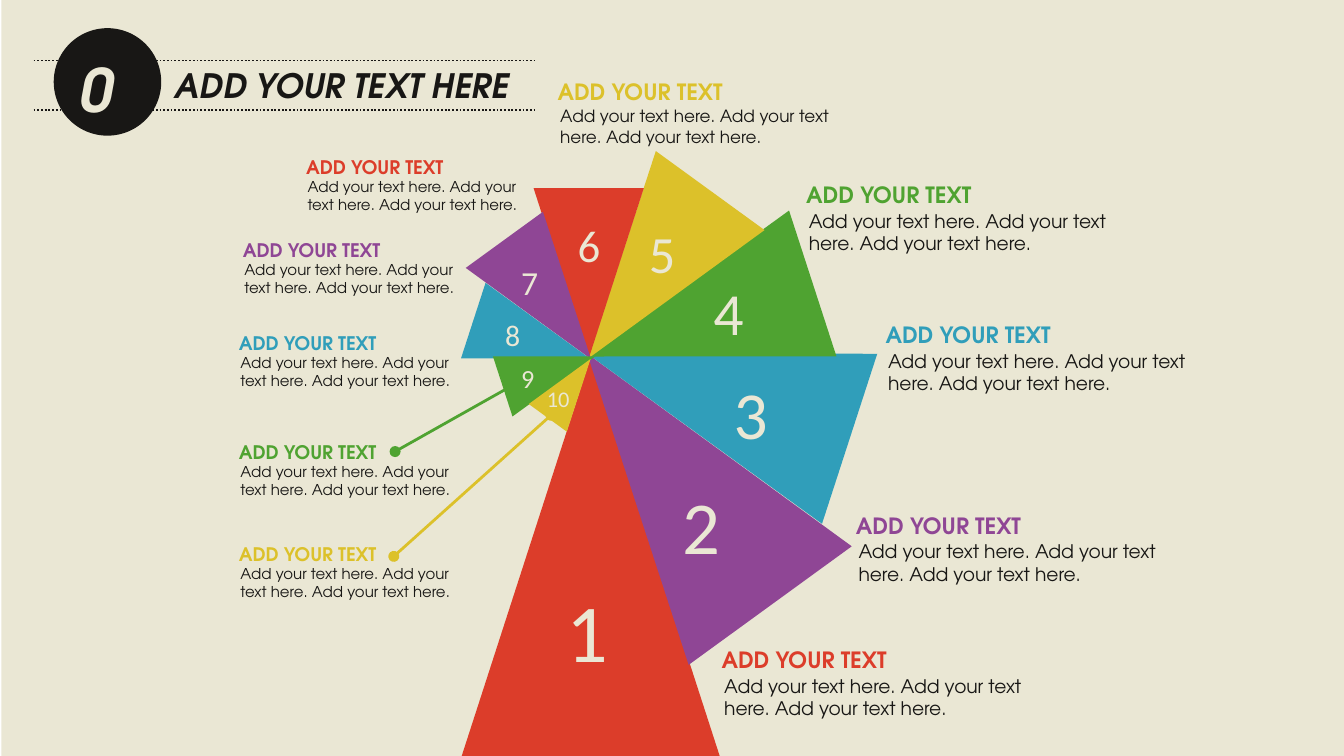
from dataclasses import dataclass

from lxml.etree import SubElement
from pptx import Presentation
from pptx.dml.color import RGBColor
from pptx.enum.dml import MSO_LINE
from pptx.enum.shapes import MSO_CONNECTOR, MSO_SHAPE
from pptx.enum.text import MSO_ANCHOR, MSO_AUTO_SIZE, PP_ALIGN
from pptx.oxml.ns import qn
from pptx.util import Inches, Pt


@dataclass(frozen=True)
class Theme:
    cream: str = "EAE7D4"
    ink: str = "181715"
    red: str = "DC3D2A"
    purple: str = "8F4695"
    blue: str = "309EBA"
    green: str = "4FA331"
    yellow: str = "DCC12A"
    font: str = "TeX Gyre Adventor"
    digit_font: str = "Calibri"
    title_size: int = 18
    badge_size: int = 32


T = Theme()
COLORS = (T.red, T.purple, T.blue, T.green, T.yellow)
HEADING = "ADD YOUR TEXT"
BODY = "Add your text here. Add your text here. Add your text here."
STEP = 36  # degrees between neighbouring blades
ASPECT = 1.545  # blade height to width
# Shift from heading to body text, by heading size
BODY_SHIFT = {12: (0.02, 0.21), 10: (0.01, 0.16)}

# blade (left, top, width), digit (left, top, size),
# label (left, top, heading size, body size)
BLADES = [
    ((3.42, 2.66, 1.95), (4.12, 4.27, 44), (5.27, 4.76, 12, 10)),
    ((4.30, 2.41, 1.50), (4.98, 3.52, 40), (6.27, 3.76, 12, 10)),
    ((4.68, 1.92, 1.33), (5.36, 2.72, 36), (6.49, 2.34, 12, 10)),
    ((4.64, 1.50, 1.14), (5.21, 2.00, 32), (5.90, 1.30, 12, 10)),
    ((4.33, 1.27, 1.00), (4.73, 1.60, 28), (4.05, 0.53, 12, 9)),
    ((3.97, 1.40, 0.82), (4.20, 1.57, 24), (2.18, 1.11, 10, 8)),
    ((3.72, 1.68, 0.71), (3.78, 1.90, 18), (1.71, 1.73, 10, 8)),
    ((3.66, 2.07, 0.59), (3.66, 2.31, 16), (1.68, 2.42, 10, 8)),
    ((3.85, 2.40, 0.47), (3.78, 2.65, 14), (1.68, 3.23, 10, 8)),
    ((4.06, 2.62, 0.35), (3.97, 2.82, 12), (1.68, 3.99, 10, 8)),
]


def rgb(color):
    return RGBColor.from_string(color)


def box_height(size, lines=1):
    return 0.1 + lines * size * 1.2 / 72


def add_solid(slide, kind, left, top, width, height, color):
    sp = slide.shapes.add_shape(kind, Inches(left), Inches(top),
                                Inches(width), Inches(height))
    sp.shadow.inherit = False
    sp.fill.solid()
    sp.fill.fore_color.rgb = rgb(color)
    sp.line.fill.background()
    return sp


def add_run(p, text, size, color, font, bold=False, italic=False):
    r = p.add_run()
    r.text = text
    r.font.size = Pt(size)
    r.font.name = font
    r.font.bold = bold
    r.font.italic = italic
    r.font.color.rgb = rgb(color)


def add_text(slide, left, top, width, text, size, color, font=T.font,
             lines=1, bold=False, italic=False):
    sp = slide.shapes.add_textbox(Inches(left), Inches(top), Inches(width),
                                  Inches(box_height(size, lines)))
    tf = sp.text_frame
    tf.word_wrap = lines > 1
    tf.auto_size = MSO_AUTO_SIZE.SHAPE_TO_FIT_TEXT
    add_run(tf.paragraphs[0], text, size, color, font, bold, italic)


def add_line(slide, start, end, color, width, dash=None, ends=()):
    line = slide.shapes.add_connector(
        MSO_CONNECTOR.STRAIGHT, *(Inches(v) for v in (*start, *end)))
    line.line.color.rgb = rgb(color)
    line.line.width = Pt(width)
    if dash:
        line.line.dash_style = dash
    ln = line._element.spPr.find(qn("a:ln"))
    for end_name in ends:
        SubElement(ln, qn(f"a:{end_name}"), type="oval")
    SubElement(line._element.spPr, qn("a:effectLst"))


def add_title(slide, text):
    sp = slide.shapes.title
    sp.left, sp.top = Inches(1.2), Inches(0.43)
    sp.width, sp.height = Inches(2.69), Inches(0.4)
    tf = sp.text_frame
    tf.word_wrap = False
    tf.auto_size = MSO_AUTO_SIZE.SHAPE_TO_FIT_TEXT
    tf.vertical_anchor = MSO_ANCHOR.TOP
    p = tf.paragraphs[0]
    p.alignment = PP_ALIGN.LEFT
    add_run(p, text, T.title_size, T.ink, T.font, bold=True, italic=True)
    # Bring the title in front of the backdrop
    slide.shapes._spTree.append(sp._element)


def add_header(slide):
    for y in (0.45, 0.82):
        add_line(slide, (0.25, y), (3.98, y), T.ink, 1, MSO_LINE.ROUND_DOT)
    add_solid(slide, MSO_SHAPE.OVAL, 0.4, 0.21, 0.8, 0.8, T.ink)
    add_title(slide, "ADD YOUR TEXT HERE")
    add_text(slide, 0.49, 0.34, 0.69, "01", T.badge_size, T.cream,
             bold=True, italic=True)


def add_blade(slide, index, left, top, width, color):
    sp = add_solid(slide, MSO_SHAPE.ISOSCELES_TRIANGLE, left, top,
                   width, width * ASPECT, color)
    sp.rotation = -STEP * index % 360


def add_digit(slide, text, left, top, size):
    width = 0.2 + 0.008 * size * len(text)
    add_text(slide, left, top, width, text, size, T.cream, T.digit_font)


def add_label(slide, left, top, head_size, body_size, color):
    add_text(slide, left, top, 0.2 + 0.11 * head_size, HEADING, head_size,
             color, bold=True)
    dx, dy = BODY_SHIFT[head_size]
    add_text(slide, left + dx, top + dy, 0.244 * body_size, BODY, body_size,
             T.ink, lines=2)


def main():
    prs = Presentation()
    prs.slide_width = Inches(10)
    prs.slide_height = prs.slide_width * 9 // 16
    slide = prs.slides.add_slide(prs.slide_layouts[5])

    # Backdrop and header
    add_solid(slide, MSO_SHAPE.RECTANGLE, 0.01, 0, 9.99, 5.64, T.cream)
    add_header(slide)

    # Spiral of blades, then the text above it
    colors = [COLORS[i % len(COLORS)] for i in range(len(BLADES))]
    for i, (blade, _, _) in enumerate(BLADES):
        add_blade(slide, i, *blade, colors[i])
    for i, (_, digit, _) in enumerate(BLADES):
        add_digit(slide, str(i + 1), *digit)
    for color, (_, _, label) in zip(colors, BLADES):
        add_label(slide, *label, color)

    # Leaders to the two smallest blades
    add_line(slide, (3.81, 2.87), (2.94, 3.36), T.green, 1.5,
             ends=("tailEnd",))
    add_line(slide, (4.1, 3.09), (2.93, 4.14), T.yellow, 1.5,
             ends=("headEnd", "tailEnd"))

    prs.save("out.pptx")


if __name__ == "__main__":
    main()
